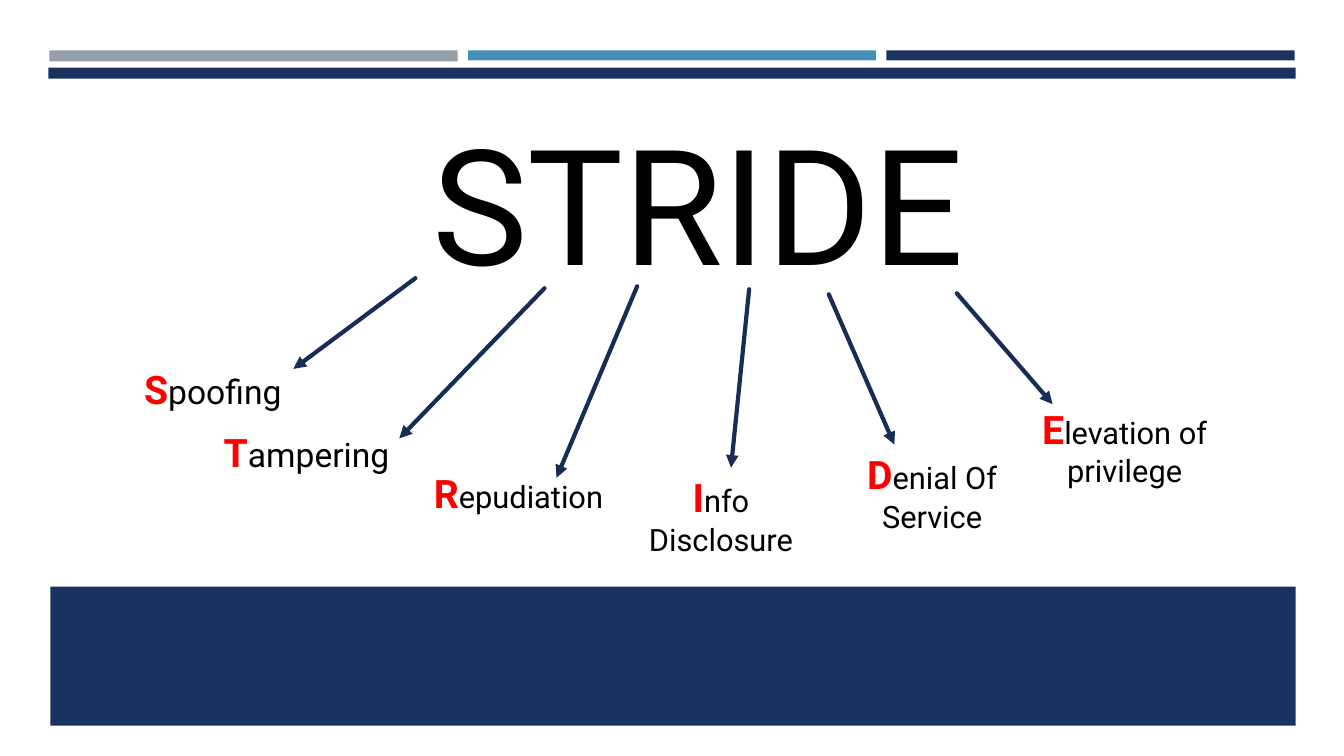
from lxml import etree
from pptx import Presentation
from pptx.dml.color import RGBColor
from pptx.enum.shapes import MSO_CONNECTOR, MSO_SHAPE
from pptx.enum.text import MSO_ANCHOR, MSO_AUTO_SIZE, PP_ALIGN
from pptx.oxml.ns import qn
from pptx.util import Inches, Pt

FONT = "Roboto"
NAVY = RGBColor(0x1A, 0x32, 0x60)
ARROW = RGBColor(0x17, 0x2D, 0x56)
BLUE = RGBColor(0x45, 0x90, 0xB8)
GREY = RGBColor(0x96, 0x9F, 0xA7)
RED = RGBColor(0xFF, 0x00, 0x00)
BLACK = RGBColor(0x00, 0x00, 0x00)

# Left, top, width, height, fill
BARS = [
    (0.49, 0.5, 4.05, 0.11, GREY),
    (4.64, 0.5, 4.05, 0.1, BLUE),
    (8.79, 0.5, 4.05, 0.1, NAVY),
    (0.48, 0.67, 12.37, 0.11, NAVY),
    (0.5, 5.82, 12.35, 1.38, NAVY),
]

# Initial, rest of the term, rest size, alignment, box, arrow start, arrow end
THREATS = [
    ("S", "poofing", 24, PP_ALIGN.RIGHT, (-0.45, 1.73, 3.34, 2.41),
     (4.12, 2.76), (2.91, 3.66)),
    ("T", "ampering", 24, PP_ALIGN.RIGHT, (0.62, 2.36, 3.34, 2.41),
     (5.4, 2.86), (3.96, 4.35)),
    ("R", "epudiation", 22, PP_ALIGN.RIGHT, (3.83, 4.45, 2.25, 0.72),
     (6.32, 2.84), (5.52, 4.74)),
    ("I", "nfo Disclosure", 22, PP_ALIGN.CENTER, (6.09, 4.41, 2.12, 1.17),
     (7.43, 2.87), (7.25, 4.64)),
    ("D", "enial Of Service", 22, PP_ALIGN.CENTER, (8.27, 4.5, 1.95, 0.85),
     (8.22, 2.92), (8.87, 4.41)),
    ("E", "levation of privilege", 22, PP_ALIGN.CENTER, (10.05, 3.87, 2.21, 1.03),
     (9.49, 2.91), (10.44, 4.01)),
]


def add_bar(s, x, y, w, h, color):
    bar = s.shapes.add_shape(
        MSO_SHAPE.RECTANGLE, Inches(x), Inches(y), Inches(w), Inches(h))
    bar.shadow.inherit = False
    bar.fill.solid()
    bar.fill.fore_color.rgb = color
    bar.line.fill.background()


def write(shape, runs, align):
    """Fill a shape with one bottom-anchored paragraph of (text, size, color, bold)."""
    tf = shape.text_frame
    tf.word_wrap = True
    tf.auto_size = MSO_AUTO_SIZE.NONE
    tf.vertical_anchor = MSO_ANCHOR.BOTTOM
    p = tf.paragraphs[0]
    p.alignment = align
    for text, size, color, bold in runs:
        r = p.add_run()
        r.text = text
        r.font.name = FONT
        r.font.size = Pt(size)
        r.font.color.rgb = color
        r.font.bold = bold


def set_title(s, text):
    title = s.shapes.title
    title.left, title.top = Inches(-0.19), Inches(0.59)
    title.width, title.height = Inches(9.85), Inches(2.41)
    write(title, [(text, 115, BLACK, False)], PP_ALIGN.RIGHT)


def add_arrow(s, start, end):
    arrow = s.shapes.add_connector(
        MSO_CONNECTOR.STRAIGHT, *(Inches(v) for v in start + end))
    arrow.line.color.rgb = ARROW
    arrow.line.width = Pt(3)
    ln = arrow.line._get_or_add_ln()
    ln.set("cap", "rnd")
    etree.SubElement(ln, qn("a:tailEnd"), type="triangle")
    etree.SubElement(arrow._element.spPr, qn("a:effectLst"))


def add_threat(s, initial, rest, size, align, box, start, end):
    add_arrow(s, start, end)
    tb = s.shapes.add_textbox(*(Inches(v) for v in box))
    write(tb, [(initial, 28, RED, True), (rest, size, BLACK, False)], align)


def main():
    prs = Presentation()
    prs.slide_width, prs.slide_height = Inches(13.33), Inches(7.5)
    s = prs.slides.add_slide(prs.slide_layouts[5])

    # Header stripes and bottom band
    for bar in BARS:
        add_bar(s, *bar)

    # Acronym and the threats it stands for
    set_title(s, "STRIDE")
    for threat in THREATS:
        add_threat(s, *threat)

    prs.save("out.pptx")


if __name__ == "__main__":
    main()
